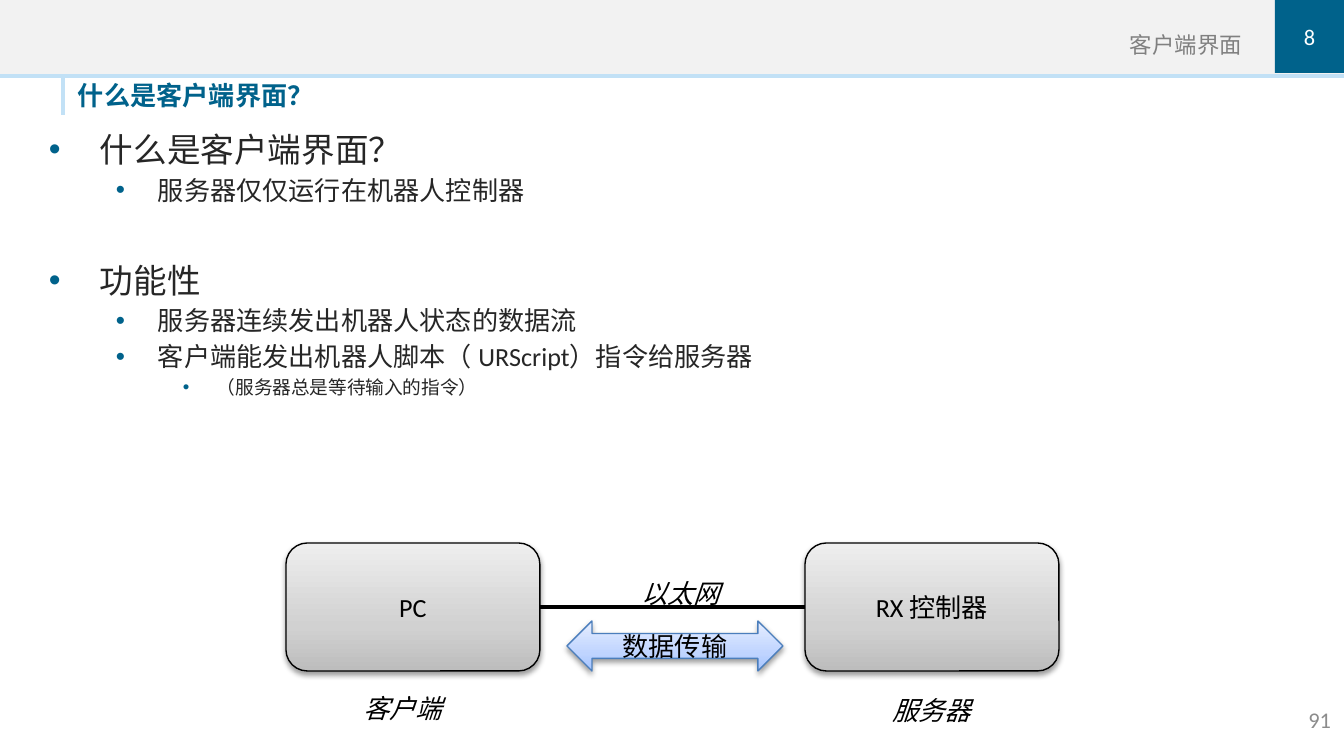
from typing import NamedTuple, Optional

from lxml import etree
from pptx import Presentation, util as u
from pptx.dml.color import RGBColor
from pptx.enum import lang, shapes, text
from pptx.oxml.ns import qn

EMU_PER_PX = 914400 / 134.4
FONT = "Calibri"
COLORS = {
    "pale_blue": "C2E1F6", "header": "F2F2F2", "accent": "00628B", "white": "FFFFFF",
    "page": "8C8C8C", "section": "808080", "body": "262626", "black": "000000",
    "arrow_line": "4B7EBC",
}
GRADIENTS = {
    "grey": ((0, "BDBDBD"), (35, "D1D1D1"), (100, "EEEEEE")),
    "blue": ((0, "A4C4FF"), (35, "BFD4FF"), (100, "E6EEFF")),
}
ALIGN = text.PP_ALIGN
ANCHOR = text.MSO_ANCHOR
KIND = shapes.MSO_SHAPE


class Box(NamedTuple):
    left: int
    top: int
    width: int
    height: int


class Label(NamedTuple):
    words: str
    box: Box
    size: int = 14
    color: str = "black"
    align: ALIGN = ALIGN.CENTER
    anchor: ANCHOR = ANCHOR.TOP
    bold: bool = False
    italic: bool = False
    margins: tuple = (13, 7, 13, 7)


class Bullet(NamedTuple):
    words: str
    level: int
    space_before: float


class Node(NamedTuple):
    words: str
    kind: KIND
    box: Box
    gradient: str
    line: str


LEVELS = ((18, 51, 51), (14, 109, 42), (10, 168, 34))
NO_MARGINS = (0, 0, 0, 0)
BARS = (
    (Box(0, 0, 1344, 78), "pale_blue"),
    (Box(0, 0, 1344, 74), "header"),
    (Box(1275, 0, 69, 73), "accent"),
)
LABELS = (
    Label("91", Box(1210, 700, 134, 40), 12, "page", ALIGN.RIGHT, ANCHOR.MIDDLE),
    Label("客户端界面", Box(672, 0, 570, 58), 12, "section", ALIGN.RIGHT, ANCHOR.BOTTOM,
          margins=NO_MARGINS),
    Label("8", Box(1275, 0, 69, 73), 12, "white", anchor=ANCHOR.MIDDLE, margins=NO_MARGINS),
    Label("什么是客户端界面？", Box(78, 79, 593, 38), 14, "accent", ALIGN.LEFT, bold=True,
          margins=NO_MARGINS),
    Label("以太网", Box(588, 570, 185, 46), italic=True),
    Label("客户端", Box(310, 685, 185, 46), italic=True),
    Label("服务器", Box(839, 687, 185, 46), italic=True),
)
BODY_BOX = Box(36, 122, 1262, 300)
BULLETS = (
    Bullet("什么是客户端界面？", 0, 0),
    Bullet("服务器仅仅运行在机器人控制器", 1, 2.5),
    Bullet("功能性", 0, 29),
    Bullet("服务器连续发出机器人状态的数据流", 1, 2.5),
    Bullet("客户端能发出机器人脚本（ URScript）指令给服务器", 1, 2.5),
    Bullet("（服务器总是等待输入的指令）", 2, 2),
)
CONTROLLER = Node("RX 控制器", KIND.ROUNDED_RECTANGLE, Box(805, 543, 254, 128), "grey", "black")
COMPUTER = Node("PC", KIND.ROUNDED_RECTANGLE, Box(286, 543, 254, 128), "grey", "black")
TRANSFER = Node("数据传输", KIND.LEFT_RIGHT_ARROW, Box(567, 621, 216, 50), "blue", "arrow_line")


def px(value: int) -> u.Emu:
    return u.Emu(round(value * EMU_PER_PX))


def place(box: Box) -> list:
    return [px(value) for value in box]


def rgb(name: str) -> RGBColor:
    return RGBColor.from_string(COLORS[name])


def add_element(parent, tag: str, **attributes):
    return etree.SubElement(parent, qn(tag), attributes)


def set_frame(frame, margins: tuple, anchor: ANCHOR) -> None:
    frame.word_wrap = True
    frame.vertical_anchor = anchor
    frame.margin_left, frame.margin_top, frame.margin_right, frame.margin_bottom = map(px, margins)


def add_run(paragraph, words: str, size: int, color: str,
            bold: Optional[bool] = None, italic: Optional[bool] = None) -> None:
    run = paragraph.add_run()
    run.text = words
    font = run.font
    font.name, font.size, font.bold, font.italic = FONT, u.Pt(size), bold, italic
    font.color.rgb = rgb(color)
    font.language_id = lang.MSO_LANGUAGE_ID.SIMPLIFIED_CHINESE
    add_element(run._r.get_or_add_rPr(), "a:ea", typeface=FONT)


def add_bar(slide, box: Box, color: str) -> None:
    shape = slide.shapes.add_shape(KIND.RECTANGLE, *place(box))
    shape.shadow.inherit = False
    shape.fill.solid()
    shape.fill.fore_color.rgb = rgb(color)
    shape.line.fill.background()


def add_label(slide, label: Label) -> None:
    frame = slide.shapes.add_textbox(*place(label.box)).text_frame
    set_frame(frame, label.margins, label.anchor)
    paragraph = frame.paragraphs[0]
    paragraph.alignment = label.align
    add_run(paragraph, label.words, label.size, label.color, label.bold, label.italic)


def add_bullets(slide) -> None:
    frame = slide.shapes.add_textbox(*place(BODY_BOX)).text_frame
    set_frame(frame, (13, 7, 13, 7), ANCHOR.TOP)
    for index, bullet in enumerate(BULLETS):
        paragraph = frame.add_paragraph() if index else frame.paragraphs[0]
        size, margin, hanging = LEVELS[bullet.level]
        paragraph.level = bullet.level
        paragraph.space_before = u.Pt(bullet.space_before)
        properties = paragraph._p.get_or_add_pPr()
        properties.set("marL", str(px(margin)))
        properties.set("indent", str(-px(hanging)))
        bullet_color = add_element(properties, "a:buClr")
        add_element(bullet_color, "a:srgbClr", val=COLORS["accent"])
        add_element(properties, "a:buFont", typeface="Arial")
        add_element(properties, "a:buChar", char="•")
        add_run(paragraph, bullet.words, size, "body")


def add_node(slide, node: Node):
    shape = slide.shapes.add_shape(node.kind, *place(node.box))
    shape.shadow.inherit = False
    shape.fill.gradient()
    shape.fill.gradient_angle = 90
    properties = shape._element.spPr
    stops = properties.find(qn("a:gradFill")).find(qn("a:gsLst"))
    for stop in list(stops):
        stops.remove(stop)
    for position, color in GRADIENTS[node.gradient]:
        stop = add_element(stops, "a:gs", pos=str(position * 1000))
        add_element(stop, "a:srgbClr", val=color)
    shape.line.color.rgb = rgb(node.line)
    shape.line.width = u.Pt(0.75)
    shadow = add_element(properties.find(qn("a:effectLst")), "a:outerShdw",
                         blurRad=str(u.Pt(3.1)), dist=str(u.Pt(1.6)), dir="5400000",
                         rotWithShape="0")
    shadow_color = add_element(shadow, "a:srgbClr", val=COLORS["black"])
    add_element(shadow_color, "a:alpha", val="38000")
    set_frame(shape.text_frame, (13, 7, 13, 7), ANCHOR.MIDDLE)
    paragraph = shape.text_frame.paragraphs[0]
    paragraph.alignment = ALIGN.CENTER
    add_run(paragraph, node.words, 14, "black")
    return shape


def add_line(slide, start: tuple, end: tuple, color: str, width: float):
    line = slide.shapes.add_connector(shapes.MSO_CONNECTOR.STRAIGHT, *map(px, start + end))
    line.line.color.rgb = rgb(color)
    line.line.width = u.Pt(width)
    add_element(line._element.spPr, "a:effectLst")
    return line


def main() -> None:
    presentation = Presentation()
    presentation.slide_width, presentation.slide_height = px(1344), px(756)
    slide = presentation.slides.add_slide(presentation.slide_layouts[6])
    for box, color in BARS:
        add_bar(slide, box, color)
    add_line(slide, (63, 78), (63, 115), "pale_blue", 2.5)
    add_bullets(slide)
    controller, computer, _ = [add_node(slide, node) for node in (CONTROLLER, COMPUTER, TRANSFER)]
    ethernet = add_line(slide, (805, 607), (540, 607), "black", 2.25)
    ethernet.begin_connect(controller, 1)
    ethernet.end_connect(computer, 3)
    for label in LABELS:
        add_label(slide, label)
    presentation.save("out.pptx")


if __name__ == "__main__":
    main()
